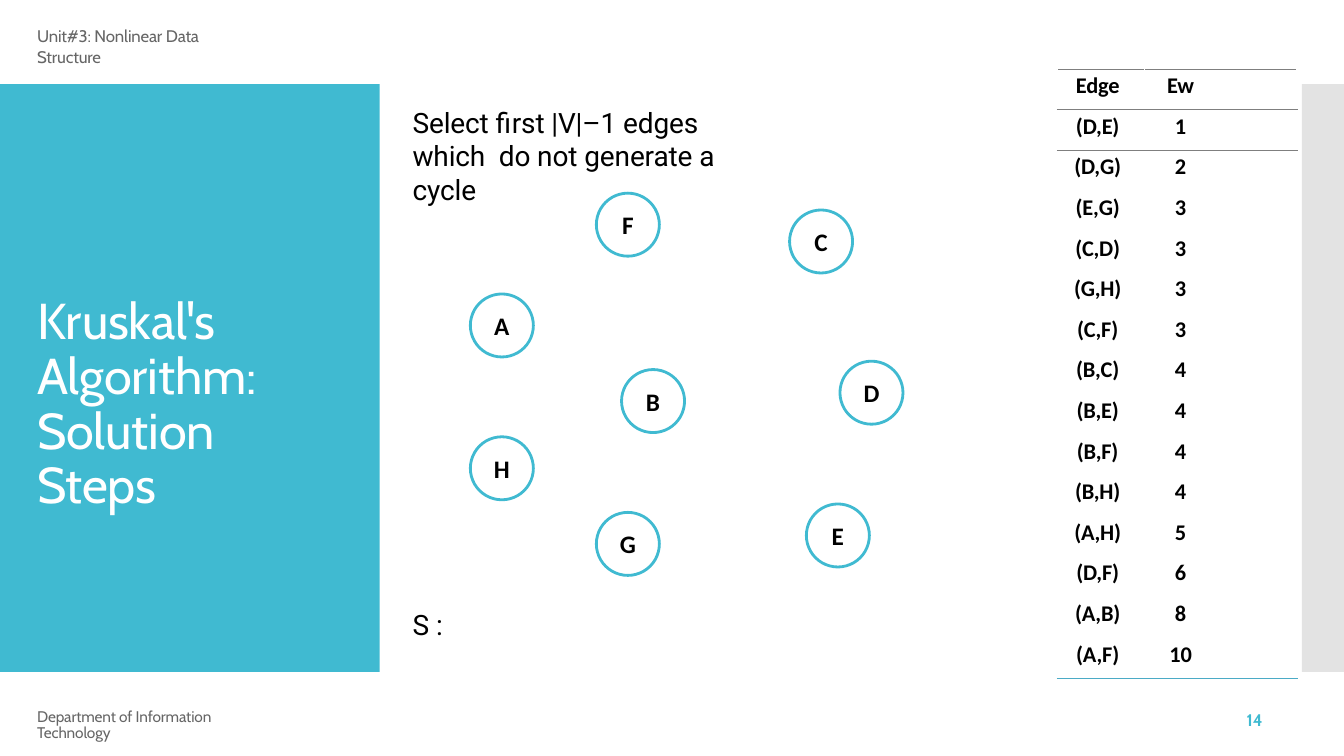
from dataclasses import dataclass
from lxml.etree import SubElement
from pptx import Presentation
from pptx.dml.color import RGBColor
from pptx.enum.shapes import MSO_SHAPE
from pptx.enum.text import MSO_ANCHOR, PP_ALIGN
from pptx.oxml import parse_xml
from pptx.oxml.ns import nsdecls, qn
from pptx.util import Inches, Pt


@dataclass(frozen=True)
class Theme:
    """Colours, fonts and type sizes of the slide."""
    teal: str = "40BAD1"
    grey: str = "666666"
    side: str = "C8C8C8"
    rule: str = "7F7F7F"
    base: str = "4BABC6"
    black: str = "000000"
    white: str = "FFFFFF"
    head: str = "Cabin"
    body: str = "Roboto"
    label: str = "Calibri"
    title: float = 36
    lead: float = 20
    node: float = 18
    cell: float = 16
    small: float = 12
    foot: float = 11


T = Theme()
COLS, ROWS = 160, 90
NODE = 7.5
NODES = {"A": (56, 35), "B": (74, 44), "C": (94, 25), "F": (71, 23),
         "G": (71, 61), "H": (56, 52), "D": (100, 43), "E": (96, 60)}
EDGES = [("Edge", "Ew"), ("(D,E)", "1"), ("(D,G)", "2"), ("(E,G)", "3"),
         ("(C,D)", "3"), ("(G,H)", "3"), ("(C,F)", "3"), ("(B,C)", "4"),
         ("(B,E)", "4"), ("(B,F)", "4"), ("(B,H)", "4"), ("(A,H)", "5"),
         ("(D,F)", "6"), ("(A,B)", "8"), ("(A,F)", "10")]


def grid(*units):
    """Turn grid units of a twelfth of an inch into lengths."""
    return [Inches(u / 12) for u in units]


def apply(obj, values):
    """Set each attribute named in a dict of format values."""
    for name, value in values.items():
        setattr(obj, name, value)


def write(tf, text, size, font, color, bold=False, spacing=0, **para):
    """Write one formatted paragraph into a text frame."""
    p = tf.paragraphs[0]
    apply(p, para)
    r = p.add_run()
    r.text = text
    apply(r.font, {"size": Pt(size), "name": font, "bold": bold})
    r.font.color.rgb = RGBColor.from_string(color)
    if spacing:
        r._r.get_or_add_rPr().set("spc", str(spacing))


def add_text(s, box, text, size, font, color, top=0.01, **fmt):
    """Add a wrapping text box without side margins."""
    tf = s.shapes.add_textbox(*grid(*box)).text_frame
    apply(tf, {"word_wrap": True, "margin_left": Inches(0.01), "margin_right": 0,
               "margin_top": Inches(top), "margin_bottom": 0})
    write(tf, text, size, font, color, **fmt)


def add_panel(s, box, color, alpha=100):
    """Add a plain rectangle, transparent when alpha is below 100."""
    sp = s.shapes.add_shape(MSO_SHAPE.RECTANGLE, *grid(*box))
    sp.shadow.inherit = False
    sp.fill.solid()
    sp.fill.fore_color.rgb = RGBColor.from_string(color)
    sp.line.fill.background()
    if alpha < 100:
        clr = sp._element.spPr.find(qn("a:solidFill")).find(qn("a:srgbClr"))
        SubElement(clr, qn("a:alpha")).set("val", str(alpha * 1000))


def add_node(s, name, left, top):
    """Add a graph vertex as a ring with its letter."""
    sp = s.shapes.add_shape(MSO_SHAPE.OVAL, *grid(left, top, NODE, NODE))
    sp.shadow.inherit = False
    sp.fill.background()
    sp.line.color.rgb = RGBColor.from_string(T.teal)
    sp.line.width = Pt(2)
    tf = sp.text_frame
    apply(tf, {"margin_left": 0, "margin_right": 0, "margin_top": 0,
               "margin_bottom": 0, "vertical_anchor": MSO_ANCHOR.MIDDLE})
    write(tf, name, T.node, T.label, T.black, bold=True, alignment=PP_ALIGN.CENTER)


def add_border(cell, side, color):
    """Draw one horizontal border of a table cell."""
    cell._tc.get_or_add_tcPr().insert(0, parse_xml(
        f'<a:{side} {nsdecls("a")} w="12700"><a:solidFill>'
        f'<a:srgbClr val="{color}"/></a:solidFill></a:{side}>'))


def add_edge_table(s, box, widths, insets):
    """Add the table of edges sorted by weight."""
    last = len(EDGES) - 1
    table = s.shapes.add_table(len(EDGES), len(widths), *grid(*box)).table
    apply(table, {"first_row": False, "horz_banding": False})
    for col, width in zip(table.columns, grid(*widths)):
        col.width = width
    for i, edge in enumerate(EDGES):
        table.rows[i].height = grid(box[3] / len(EDGES))[0]
        for j, text in enumerate(edge):
            cell = table.cell(i, j)
            cell.fill.background()
            apply(cell, {"margin_left": 0, "margin_right": Inches(insets[j]),
                         "margin_top": Inches(0.03), "margin_bottom": 0})
            write(cell.text_frame, text, T.cell, T.label, T.black, bold=True,
                  spacing=0 if j and i else -10, alignment=PP_ALIGN.CENTER,
                  space_before=Pt(2.5))
            if i in (0, 1, last):
                add_border(cell, "lnB", T.base if i == last else T.rule)
            if i < 3:
                add_border(cell, "lnT", T.rule)


def main():
    """Build the slide and save it."""
    prs = Presentation()
    prs.slide_width, prs.slide_height = grid(COLS, ROWS)
    s = prs.slides.add_slide(prs.slide_layouts[6])
    add_panel(s, (0, 10, 45.2, 70), T.teal)
    add_panel(s, (155, 10, 5, 70), T.side, alpha=50)
    add_text(s, (4.3, 3, 26, 5), "Unit#3: Nonlinear Data Structure",
             T.small, T.head, T.grey, spacing=-10, space_before=Pt(1))
    add_text(s, (4.3, 34.2, 34, 28), "Kruskal's Algorithm: Solution Steps",
             T.title, T.head, T.white, top=0.08, spacing=-10,
             line_spacing=Pt(39), space_before=Pt(5.8))
    add_text(s, (49, 12.4, 42, 12),
             "Select first |V|–1 edges which  do not generate a cycle",
             T.lead, T.body, T.black, spacing=-10, space_before=Pt(1))
    add_text(s, (49, 72.2, 6, 4.3), "S :", T.lead, T.body, T.black,
             space_before=Pt(1))
    for name, place in NODES.items():
        add_node(s, name, *place)
    add_edge_table(s, (125.9, 8.25, 28.5, 72.5), (10.4, 18.1), (0.07, 0.8))
    add_text(s, (4.3, 84.5, 29, 4), "Department of Information Technology",
             T.foot, T.head, T.grey, top=0, spacing=-10, line_spacing=Pt(11.4))
    add_text(s, (148.3, 84.8, 3, 2.3), "14", T.small, T.head, T.teal, top=0,
             bold=True, line_spacing=Pt(12.3))
    prs.save("out.pptx")


if __name__ == "__main__":
    main()
